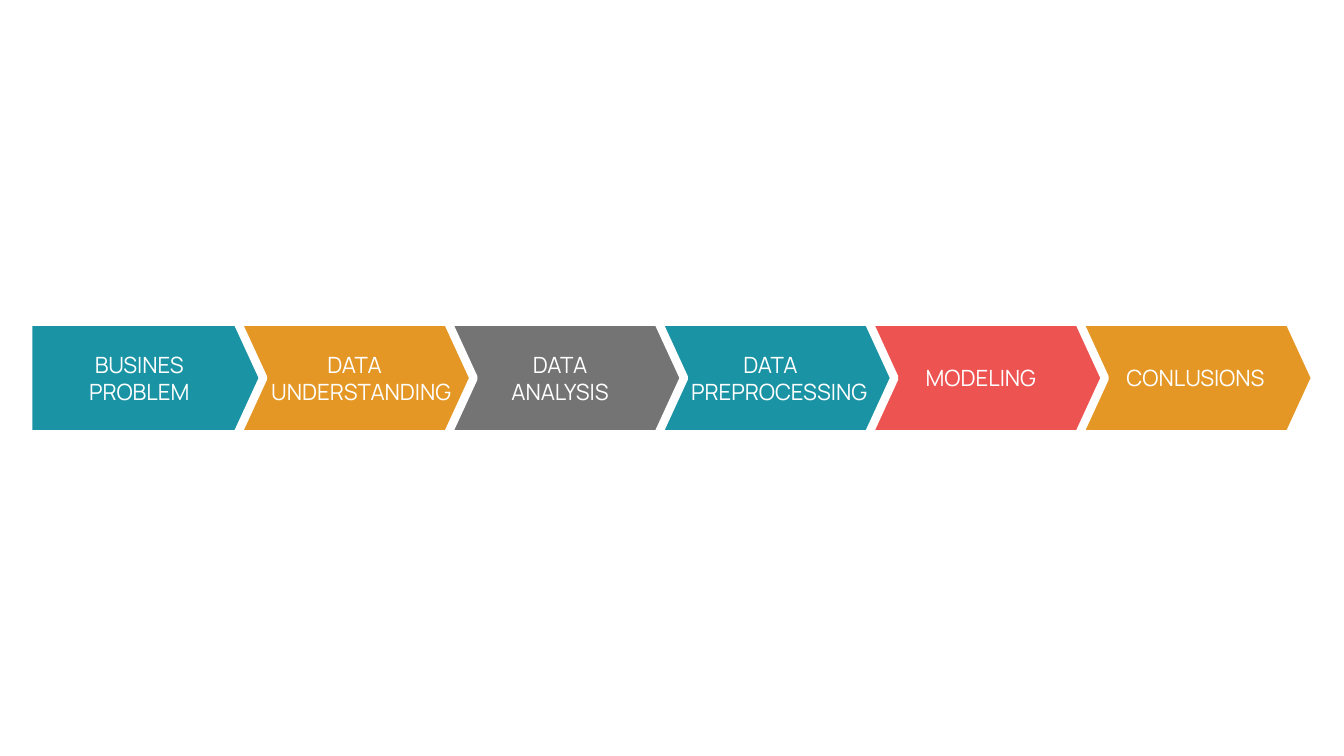
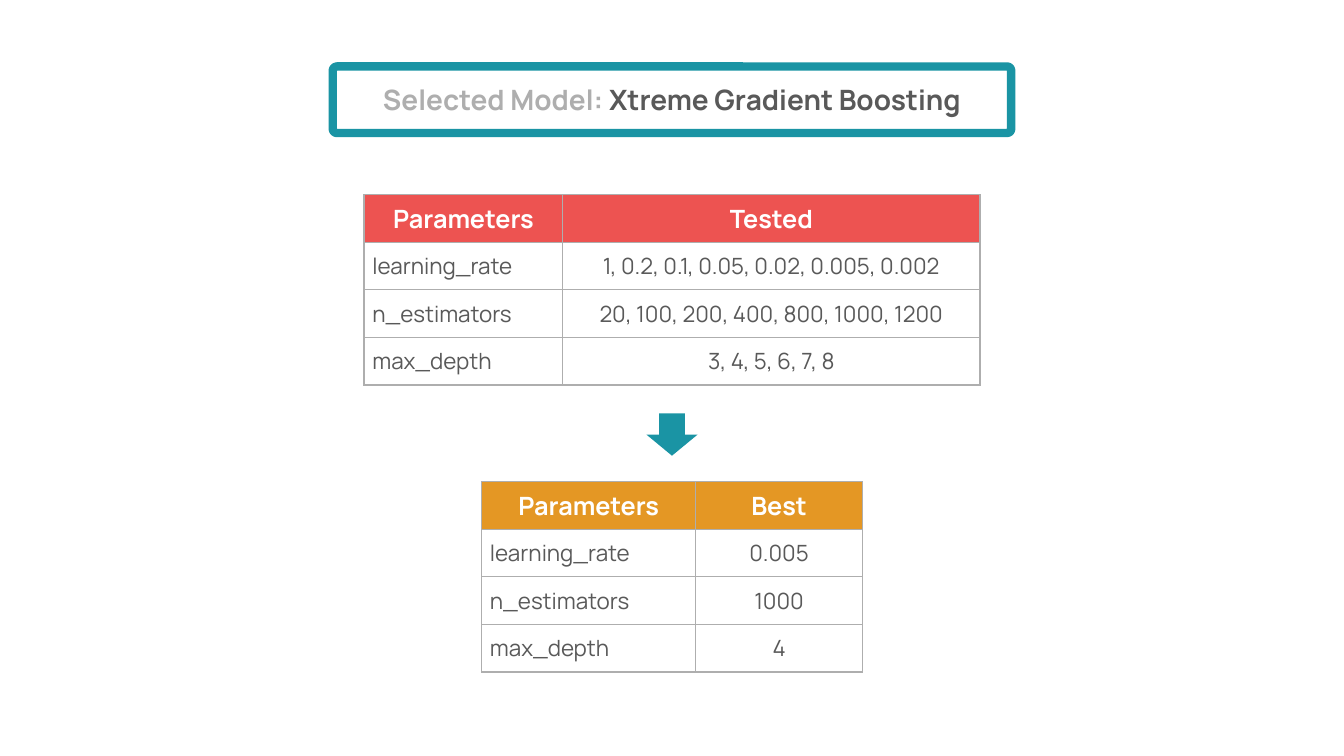
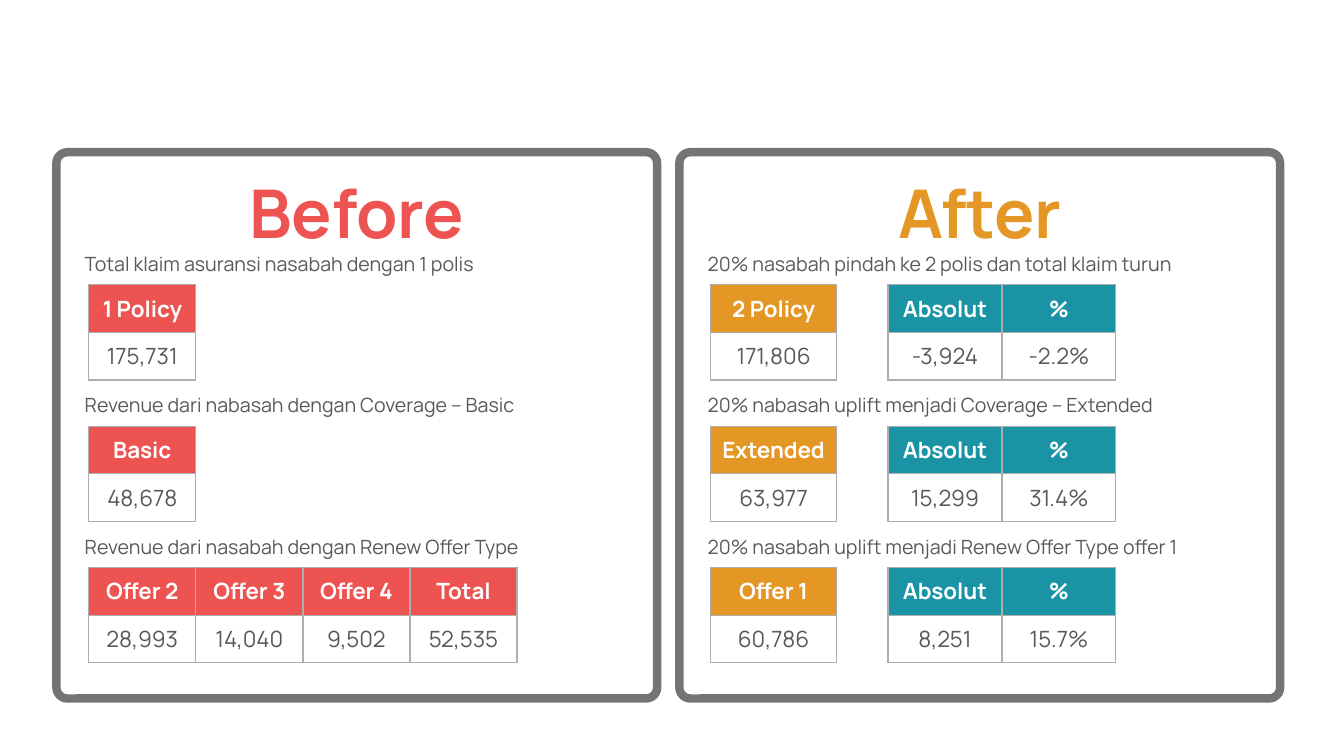
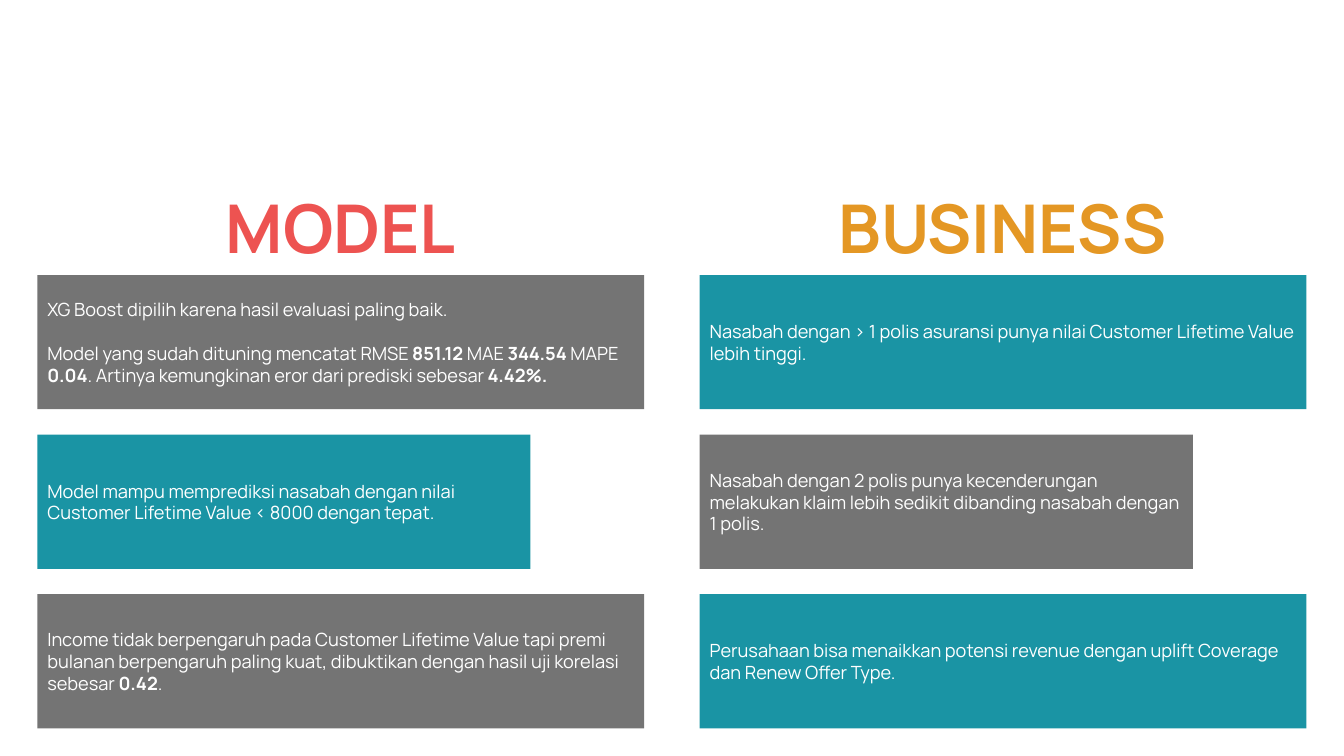
"""Build four slides on a customer lifetime value model."""
from dataclasses import dataclass
from typing import Optional

from lxml.etree import SubElement as Sub
from pptx import Presentation
from pptx.dml.color import RGBColor as Rgb
from pptx.enum.shapes import MSO_SHAPE as Form
from pptx.enum.text import MSO_ANCHOR as Anchor
from pptx.enum.text import MSO_AUTO_SIZE as Fit
from pptx.enum.text import PP_ALIGN as Align
from pptx.oxml.ns import qn
from pptx.util import Pt

FONT = "Manrope"
TEAL, GOLD, RED = "1A94A4", "E49724", "ED5351"
GRAY, SILVER, INK, WHITE = "747474", "AEAEAE", "595959", "FFFFFF"
ROW = 34


@dataclass(frozen=True)
class Box:
    """Place and size in points."""
    x: float
    y: float
    w: float
    h: float

    def spots(self) -> tuple:
        """Return the four lengths."""
        return tuple(Pt(n) for n in (self.x, self.y, self.w, self.h))


@dataclass(frozen=True)
class Step:
    """One arrow of the process."""
    text: str
    color: str
    push: float = 0
    right: float = 7.2


@dataclass(frozen=True)
class Grid:
    """A table with a coloured header row."""
    x: float
    y: float
    cols: tuple
    rows: tuple
    color: str
    size: float = 16
    keys: bool = False


@dataclass(frozen=True)
class Panel:
    """One framed side of the comparison."""
    x: float
    head: str
    color: str
    notes: tuple
    grids: tuple


@dataclass(frozen=True)
class Stack:
    """A headed column of findings."""
    x: float
    head: str
    color: str
    fills: tuple
    texts: tuple


STEPS = (
    Step("BUSINES\nPROBLEM", TEAL),
    Step("DATA\nUNDERSTANDING", GOLD, push=9.5, right=0),
    Step("DATA\nANALYSIS", GRAY),
    Step("DATA\nPREPROCESSING", TEAL, push=12.5),
    Step("MODELING", RED),
    Step("CONLUSIONS", GOLD, push=6),
)

TUNING = (
    Grid(260, 139, (142, 298), (
        ("Parameters", "Tested"),
        ("learning_rate", "1, 0.2, 0.1, 0.05, 0.02, 0.005, 0.002"),
        ("n_estimators", "20, 100, 200, 400, 800, 1000, 1200"),
        ("max_depth", "3, 4, 5, 6, 7, 8")), RED, 18, True),
    Grid(344, 344, (153, 119), (
        ("Parameters", "Best"),
        ("learning_rate", "0.005"),
        ("n_estimators", "1000"),
        ("max_depth", "4")), GOLD, 18, True),
)

TOPS = tuple(203.4 + 101 * n for n in range(3))
PAST = (
    (("1 Policy",), ("175,731",)),
    (("Basic",), ("48,678",)),
    (("Offer 2", "Offer 3", "Offer 4", "Total"),
     ("28,993", "14,040", "9,502", "52,535")),
)
NEXT = (("2 Policy", "171,806"), ("Extended", "63,977"), ("Offer 1", "60,786"))
GAINS = (("-3,924", "-2.2%"), ("15,299", "31.4%"), ("8,251", "15.7%"))

PANELS = (
    Panel(40.3, "Before", RED, (
        "Total klaim asuransi nasabah dengan 1 polis",
        "Revenue dari nabasah dengan Coverage – Basic",
        "Revenue dari nasabah dengan Renew Offer Type"),
        tuple(Grid(63.4, y, (76.5,) * len(rows[0]), rows, RED)
              for y, rows in zip(TOPS, PAST))),
    Panel(485.3, "After", GOLD, (
        "20% nasabah pindah ke 2 polis dan total klaim turun",
        "20% nabasah uplift menjadi Coverage – Extended",
        "20% nasabah uplift menjadi Renew Offer Type offer 1"),
        tuple(Grid(507.6, y, (90,), ((top,), (low,)), GOLD)
              for y, (top, low) in zip(TOPS, NEXT))
        + tuple(Grid(634.3, y, (81.4, 81.4), (("Absolut", "%"), gain), TEAL)
                for y, gain in zip(TOPS, GAINS))),
)

STACKS = (
    Stack(26.7, "MODEL", RED, (GRAY, TEAL, GRAY), (
        "XG Boost dipilih karena hasil evaluasi paling baik.\n"
        "Model yang sudah dituning mencatat RMSE *851.12* MAE *344.54* "
        "MAPE *0.04*. Artinya kemungkinan eror dari prediski sebesar *4.42%.*",
        "Model mampu memprediksi nasabah dengan nilai "
        "Customer Lifetime Value < 8000 dengan tepat.",
        "Income tidak berpengaruh pada Customer Lifetime Value tapi premi "
        "bulanan berpengaruh paling kuat, dibuktikan dengan hasil uji "
        "korelasi sebesar *0.42*.")),
    Stack(499.8, "BUSINESS", GOLD, (TEAL, GRAY, TEAL), (
        "Nasabah dengan > 1 polis asuransi punya nilai "
        "Customer Lifetime Value lebih tinggi.",
        "Nasabah dengan 2 polis punya kecenderungan melakukan klaim lebih "
        "sedikit dibanding nasabah dengan 1 polis.",
        "Perusahaan bisa menaikkan potensi revenue dengan uplift Coverage "
        "dan Renew Offer Type.")),
)


def rgb(code: str) -> Rgb:
    """Turn a hex string into a colour."""
    return Rgb.from_string(code)


def write(frame, text: str, *, size: float, color: str, bold: bool = False,
          alt: Optional[str] = None, align=Align.CENTER, gap: float = 0,
          push: float = 0) -> None:
    """Fill a frame; starred parts are bold and take the alt colour."""
    frame.word_wrap = True
    frame.vertical_anchor = Anchor.MIDDLE
    lines = text.split("\n")
    for num, line in enumerate(lines):
        para = frame.add_paragraph() if num else frame.paragraphs[0]
        para.alignment = align
        para.space_before = Pt(gap if num else 0)
        if push and num == len(lines) - 1:
            para._p.get_or_add_pPr().set("marL", str(Pt(push)))
        for odd, part in enumerate(line.split("*")):
            if part:
                star = odd % 2 == 1
                run = para.add_run()
                run.text = part
                font = run.font
                font.name, font.size = FONT, Pt(size)
                font.bold = bold or star
                font.color.rgb = rgb(alt if star and alt else color)


def shape(slide, form, box: Box, fill: str, *, line: Optional[str] = None,
          bend: Optional[float] = None):
    """Add a flat shape with an optional thick outline."""
    item = slide.shapes.add_shape(form, *box.spots())
    item.shadow.inherit = False
    item.fill.solid()
    item.fill.fore_color.rgb = rgb(fill)
    if line:
        item.line.color.rgb = rgb(line)
        item.line.width = Pt(6)
    else:
        item.line.fill.background()
    if bend is not None:
        item.adjustments[0] = bend
    return item


def head(slide, index: int, text: str, box: Box, **style) -> None:
    """Place a heading placeholder in front and fill it."""
    item = next(p for p in slide.placeholders
                if p.placeholder_format.idx == index)
    item.left, item.top, item.width, item.height = box.spots()
    write(item.text_frame, text, bold=True, **style)
    item.text_frame.auto_size = Fit.NONE
    item.element.getparent().append(item.element)


def prune(slide) -> None:
    """Remove the placeholders left empty."""
    for item in list(slide.placeholders):
        if not item.text_frame.text:
            item.element.getparent().remove(item.element)


def edge(cell) -> None:
    """Draw the four borders of a cell."""
    props = cell._tc.get_or_add_tcPr()
    for side in ("a:lnL", "a:lnR", "a:lnT", "a:lnB"):
        line = Sub(props, qn(side), w=str(Pt(1)))
        Sub(Sub(line, qn("a:solidFill")), qn("a:srgbClr"), val=SILVER)


def table(slide, grid: Grid) -> None:
    """Add a table with its header row."""
    box = Box(grid.x, grid.y, sum(grid.cols), ROW * len(grid.rows))
    body = slide.shapes.add_table(
        len(grid.rows), len(grid.cols), *box.spots()).table
    body.horz_banding = False
    for col, wide in zip(body.columns, grid.cols):
        col.width = Pt(wide)
    for r, row in enumerate(grid.rows):
        body.rows[r].height = Pt(ROW)
        for c, text in enumerate(row):
            cell, top = body.cell(r, c), r == 0
            edge(cell)
            cell.fill.solid()
            cell.fill.fore_color.rgb = rgb(grid.color if top else WHITE)
            cell.margin_left = cell.margin_right = Pt(6)
            cell.margin_top = cell.margin_bottom = Pt(3)
            left = grid.keys and c == 0 and not top
            write(cell.text_frame, text, size=grid.size if top else 16,
                  color=WHITE if top else INK, bold=top,
                  align=Align.LEFT if left else Align.CENTER)
            cell.vertical_anchor = Anchor.MIDDLE


def flow(slide) -> None:
    """Draw the process arrows, the last one at the back."""
    for num, step in reversed(list(enumerate(STEPS))):
        box = Box(20.2 + 150.3 * num, 229.7, 167.8, 80.6)
        item = shape(slide, Form.PENTAGON, box, step.color,
                     line=WHITE, bend=0.23)
        item.text_frame.margin_right = Pt(step.right)
        write(item.text_frame, step.text, size=16, color=WHITE,
              push=step.push)


def tuning(slide) -> None:
    """Draw the chosen model and its parameters."""
    box = Box(237.7, 47.5, 484.6, 47.5)
    shape(slide, Form.ROUNDED_RECTANGLE, box, WHITE, line=TEAL, bend=0.06)
    head(slide, 0, "Selected Model: *Xtreme Gradient Boosting*", box,
         size=20, color=SILVER, alt=INK)
    for grid in TUNING:
        table(slide, grid)
    shape(slide, Form.DOWN_ARROW, Box(461.7, 295.3, 36.6, 30.2), TEAL)


def impact(slide) -> None:
    """Draw the panels before and after."""
    for index, panel in zip((1, 3), PANELS):
        box = Box(panel.x, 108.7, 429.1, 390.2)
        shape(slide, Form.ROUNDED_RECTANGLE, box, WHITE,
              line=GRAY, bend=0.02)
        head(slide, index, panel.head, Box(panel.x, 118.4, 429.1, 66),
             size=48, color=panel.color)
        for top, note in zip(TOPS, panel.notes):
            spot = Box(panel.x + 20.2, top - 26.2, 390, 22)
            frame = slide.shapes.add_textbox(*spot.spots()).text_frame
            frame.margin_left = frame.margin_right = Pt(0)
            frame.margin_top = frame.margin_bottom = Pt(0)
            write(frame, note, size=14, color=INK, align=Align.LEFT)
        for grid in panel.grids:
            table(slide, grid)


def finding(slide) -> None:
    """Draw the two columns of conclusions."""
    for index, stack in zip((1, 3), STACKS):
        head(slide, index, stack.head, Box(stack.x, 129, 433.4, 66),
             size=48, color=stack.color)
        for num, (fill, text) in enumerate(zip(stack.fills, stack.texts)):
            wide = 352.2 if num == 1 else 433.4
            box = Box(stack.x, 196.5 + 114 * num, wide, 95.8)
            item = shape(slide, Form.RECTANGLE, box, fill)
            write(item.text_frame, text, size=13, color=WHITE,
                  align=Align.LEFT, gap=15.7)


def main() -> None:
    """Build and save the slides."""
    deck = Presentation()
    deck.slide_width, deck.slide_height = Pt(960), Pt(540)
    for layout, draw in ((6, flow), (5, tuning), (4, impact), (4, finding)):
        slide = deck.slides.add_slide(deck.slide_layouts[layout])
        draw(slide)
        prune(slide)
    deck.save("out.pptx")


if __name__ == "__main__":
    main()
